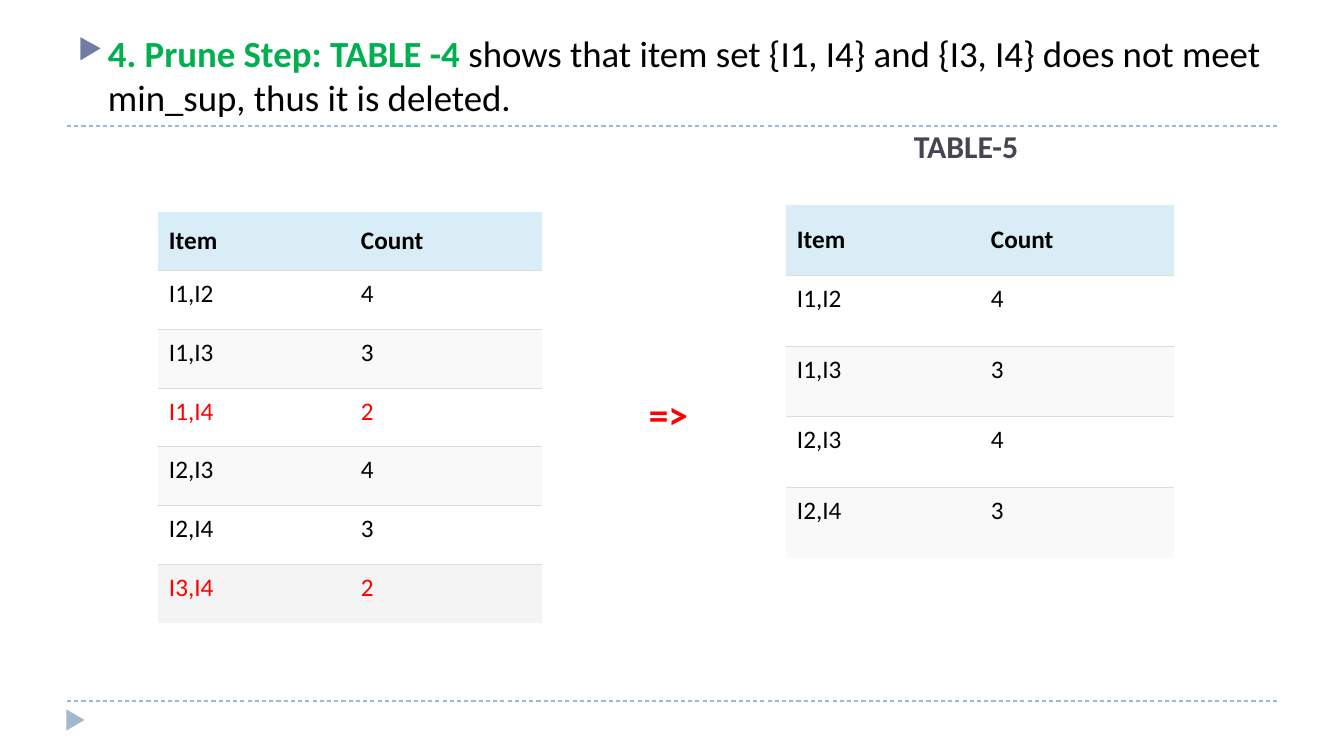
from lxml import etree
from pptx import Presentation
from pptx.dml.color import RGBColor
from pptx.enum.dml import MSO_LINE
from pptx.enum.shapes import MSO_CONNECTOR, MSO_SHAPE
from pptx.enum.text import MSO_ANCHOR
from pptx.oxml.ns import qn
from pptx.util import Pt

# Content
TITLE = [
    ("4. Prune Step: TABLE -4 ", True),
    ("shows that item set {I1, I4} and {I3, I4} does not meet min_sup, thus it is deleted.", False),
]
TABLE_LABEL = "TABLE-5"
ARROW = "=>"
HEADER = ("Item", "Count")
PRUNED_ROWS = [("I1,I2", "4"), ("I1,I3", "3"), ("I2,I3", "4"), ("I2,I4", "3")]
CANDIDATE_ROWS = [
    ("I1,I2", "4"), ("I1,I3", "3"), ("I1,I4", "2"),
    ("I2,I3", "4"), ("I2,I4", "3"), ("I3,I4", "2"),
]
MIN_COUNT = 3

# Style
FONT = "Calibri"
BLACK = RGBColor(0x00, 0x00, 0x00)
WHITE = RGBColor(0xFF, 0xFF, 0xFF)
RED = RGBColor(0xFF, 0x00, 0x00)
GREEN = RGBColor(0x00, 0xB0, 0x50)
SLATE = RGBColor(0x46, 0x46, 0x53)
RULE_BLUE = RGBColor(0x9F, 0xB8, 0xCD)
BULLET_BLUE = RGBColor(0x72, 0x7C, 0xA3)
HEADER_FILL = RGBColor(0xD9, 0xED, 0xF7)
BAND_FILL = RGBColor(0xF9, 0xF9, 0xF9)
PRUNED_FILL = RGBColor(0xF3, 0xF3, 0xF3)
BORDER = RGBColor(0xDD, 0xDD, 0xDD)

EMU_PER_PX = 914400 / 100.8


def px(length):
    return round(length * EMU_PER_PX)


def style_run(run, size, color, bold):
    run.font.name = FONT
    run.font.size = Pt(size)
    run.font.bold = bold
    run.font.color.rgb = color


def add_text_frame(slide, left, top, width, height, wrap=True):
    box = slide.shapes.add_textbox(px(left), px(top), px(width), px(height))
    frame = box.text_frame
    frame.word_wrap = wrap
    frame.margin_left = frame.margin_right = px(11)
    frame.margin_top = frame.margin_bottom = px(6)
    return frame


def add_bullet(paragraph, indent):
    properties = paragraph._p.get_or_add_pPr()
    properties.set("marL", str(px(indent)))
    properties.set("indent", str(-px(indent)))
    bullet_color = etree.SubElement(properties, qn("a:buClr"))
    etree.SubElement(bullet_color, qn("a:srgbClr"), val=str(BULLET_BLUE))
    etree.SubElement(properties, qn("a:buSzPct"), val="76000")
    etree.SubElement(properties, qn("a:buChar"), char="▶")


def set_borders(cell, has_top, has_bottom):
    properties = cell._tc.get_or_add_tcPr()
    sides = (("a:lnL", False), ("a:lnR", False), ("a:lnT", has_top), ("a:lnB", has_bottom))
    for tag, visible in sides:
        line = etree.SubElement(properties, qn(tag), w=str(Pt(0.75)))
        if visible:
            fill = etree.SubElement(line, qn("a:solidFill"))
            etree.SubElement(fill, qn("a:srgbClr"), val=str(BORDER))
        else:
            etree.SubElement(line, qn("a:noFill"))


def add_item_table(slide, rows, left, top, width, height, last_fill):
    records = [HEADER] + rows
    last = len(rows)
    table = slide.shapes.add_table(
        len(records), len(HEADER), px(left), px(top), px(width), px(height)).table
    table.first_row = table.horz_banding = False
    for row, record in enumerate(records):
        is_header = row == 0
        if is_header:
            fill = HEADER_FILL
        elif row == last:
            fill = last_fill
        else:
            fill = WHITE if row % 2 else BAND_FILL
        is_pruned = not is_header and int(record[1]) < MIN_COUNT
        for column, text in enumerate(record):
            cell = table.cell(row, column)
            set_borders(cell, has_top=not is_header, has_bottom=row != last)
            cell.fill.solid()
            cell.fill.fore_color.rgb = fill
            cell.margin_left = cell.margin_right = px(11)
            cell.margin_top = cell.margin_bottom = px(8)
            cell.vertical_anchor = MSO_ANCHOR.MIDDLE if is_header else MSO_ANCHOR.TOP
            cell.text_frame.text = text
            style_run(cell.text_frame.paragraphs[0].runs[0], 18,
                      RED if is_pruned else BLACK, is_header)


presentation = Presentation()
presentation.slide_width, presentation.slide_height = px(1344), px(756)
slide = presentation.slides.add_slide(presentation.slide_layouts[6])

# Dashed rules and footer marker
for y in (701, 126):
    rule = slide.shapes.add_connector(MSO_CONNECTOR.STRAIGHT, px(67), px(y), px(1277), px(y))
    rule.line.color.rgb = RULE_BLUE
    rule.line.width = Pt(0.75)
    rule.line.dash_style = MSO_LINE.DASH
    etree.SubElement(rule._element.spPr, qn("a:effectLst"))

marker = slide.shapes.add_shape(MSO_SHAPE.ISOSCELES_TRIANGLE, px(65), px(711), px(21), px(18))
marker.rotation = 90
marker.shadow.inherit = False
marker.fill.solid()
marker.fill.fore_color.rgb = RULE_BLUE
marker.line.fill.background()

# Title
paragraph = add_text_frame(slide, 67, 25, 1210, 100).paragraphs[0]
add_bullet(paragraph, 30)
for text, is_lead in TITLE:
    run = paragraph.add_run()
    run.text = text
    style_run(run, 26.3, GREEN if is_lead else BLACK, is_lead)

# Single-line labels
for text, box, size, color in (
    (TABLE_LABEL, (903, 121, 130, 51), 22.7, SLATE),
    (ARROW, (638, 384, 67, 57), 28, RED),
):
    frame = add_text_frame(slide, *box, wrap=False)
    frame.text = text
    style_run(frame.paragraphs[0].runs[0], size, color, True)

# Tables
add_item_table(slide, PRUNED_ROWS, 786, 205, 388, 353, BAND_FILL)
add_item_table(slide, CANDIDATE_ROWS, 158, 212, 384, 411, PRUNED_FILL)

presentation.save("out.pptx")
